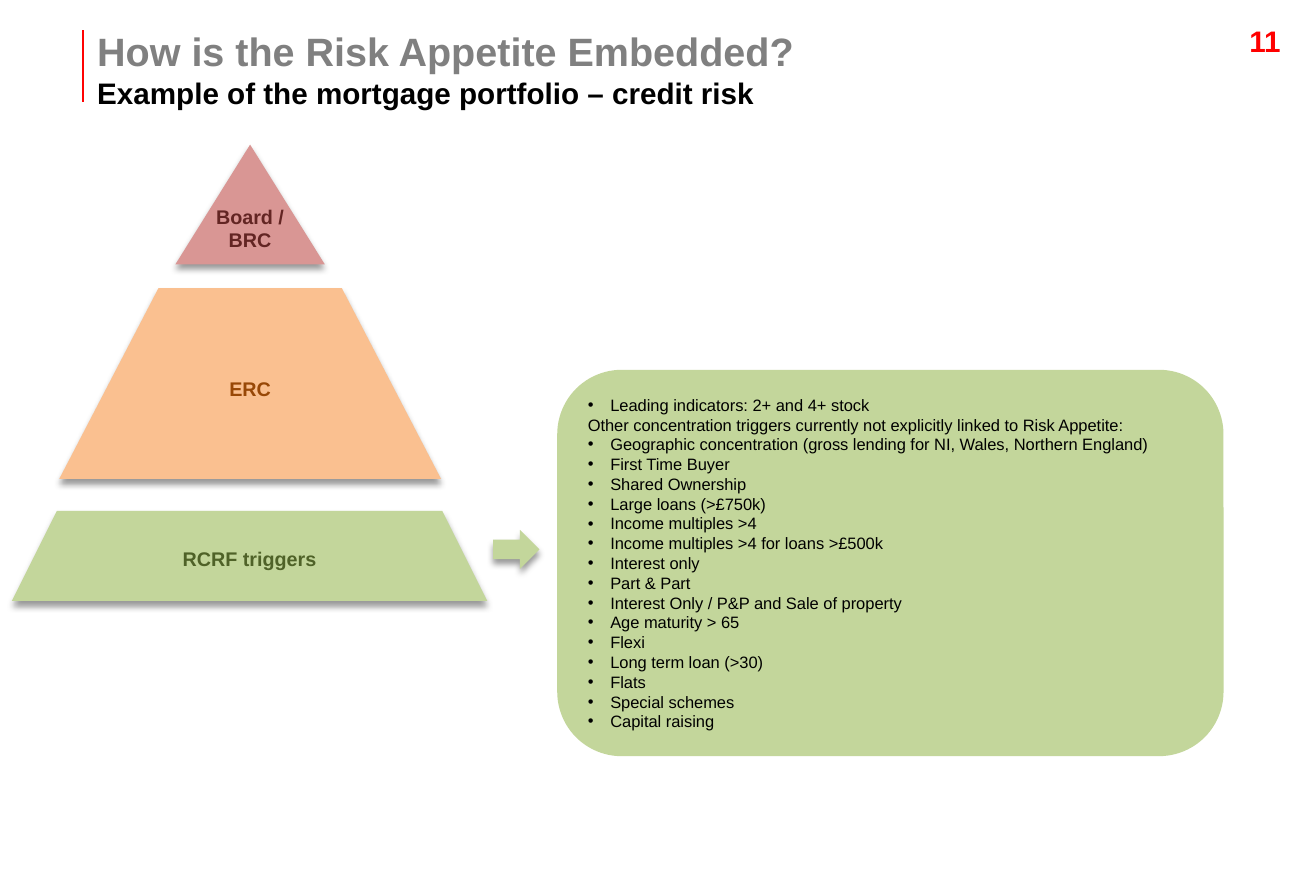
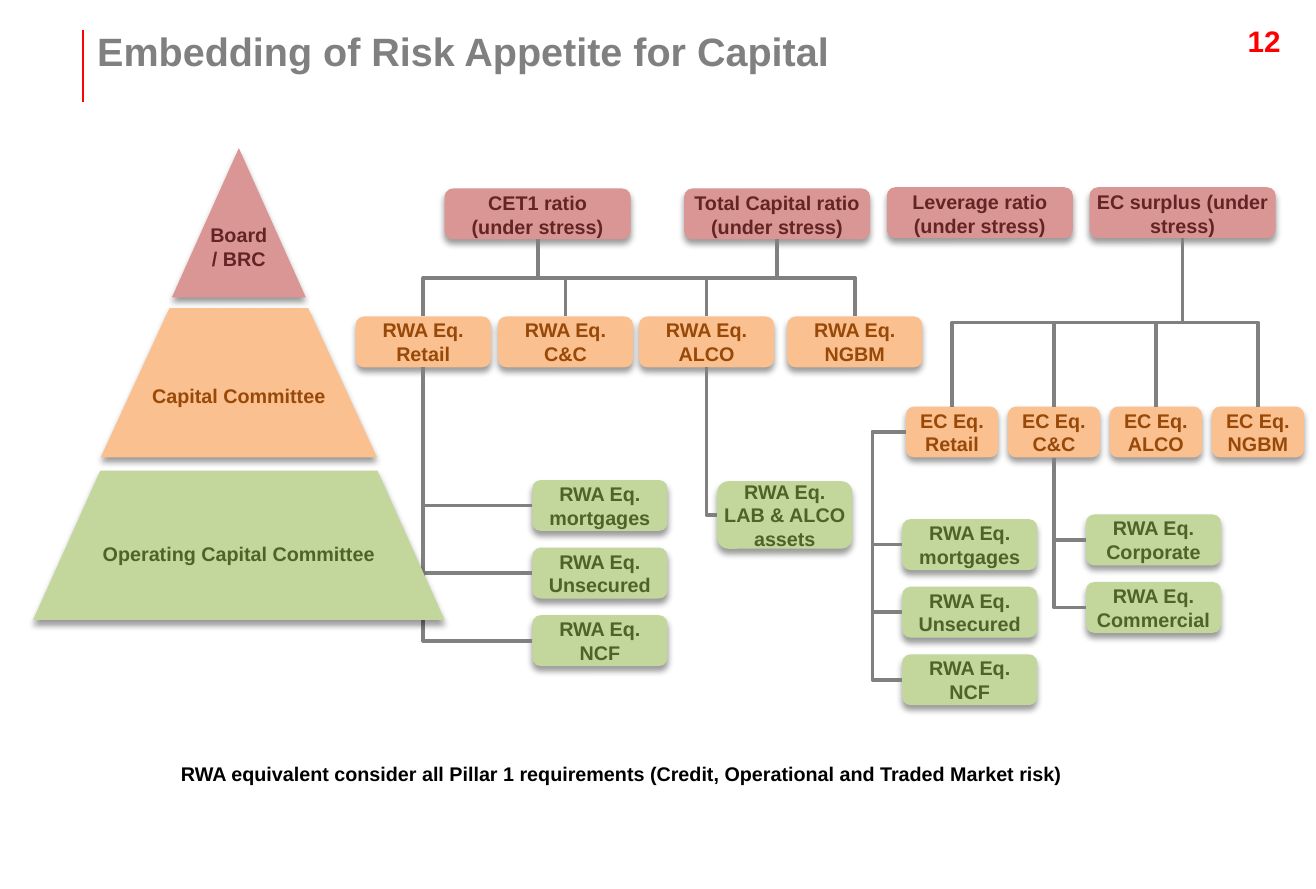
from dataclasses import dataclass

from lxml import etree
from pptx import Presentation
from pptx import util as u
from pptx.dml.color import RGBColor
from pptx.enum import shapes, text
from pptx.oxml import ns
from pptx.shapes.autoshape import Shape
from pptx.shapes.connector import Connector
from pptx.slide import Slide
from pptx.text.text import TextFrame

FONT = "Arial"
COLORS = {
    "black": "000000", "title": "808080", "number": "FF0000", "rule": "FF0303",
    "link": "808080", "rose": "D99694", "rose_ink": "632523",
    "orange": "FAC090", "orange_ink": "984807", "green": "C3D69B", "green_ink": "4F6228",
}
SHAPE = shapes.MSO_SHAPE
ALIGN = text.PP_ALIGN
ANCHOR = text.MSO_ANCHOR
TOP, LEFT, BOTTOM = 0, 1, 2


@dataclass(frozen=True)
class Style:
    size: float
    color: str
    bold: bool = True


@dataclass(frozen=True)
class Tier:
    fill: str
    ink: str
    anchor: ANCHOR = ANCHOR.MIDDLE
    inset: float = 0.04
    wrap: bool = True


@dataclass(frozen=True)
class Box:
    left: float
    top: float
    width: float
    height: float


@dataclass(frozen=True)
class Level:
    label: str
    tier: Tier
    box: Box
    slant: float = 0


BOARD = Tier("rose", "rose_ink", ANCHOR.TOP, 0)
COMMITTEE = Tier("orange", "orange_ink")
OPERATING = Tier("green", "green_ink", wrap=False)

TITLE = Style(24, "title")
SUBTITLE = Style(18, "black")
NUMBER = Style(18, "number")
NOTE = Style(12, "black")
BODY = Style(10, "black", False)

HEADING = "Other concentration triggers currently not explicitly linked to Risk Appetite:"
TRIGGERS = [
    "Leading indicators: 2+ and 4+ stock",
    HEADING,
    "Geographic concentration (gross lending for NI, Wales, Northern England)",
    "First Time Buyer",
    "Shared Ownership",
    "Large loans (>£750k)",
    "Income multiples >4",
    "Income multiples >4 for loans >£500k",
    "Interest only",
    "Part & Part",
    "Interest Only / P&P and Sale of property",
    "Age maturity > 65",
    "Flexi",
    "Long term loan (>30)",
    "Flats",
    "Special schemes",
    "Capital raising",
]


def rgb(name: str) -> RGBColor:
    return RGBColor.from_string(COLORS[name])


def place(box: Box) -> list[u.Length]:
    return [u.Inches(value) for value in (box.left, box.top, box.width, box.height)]


def set_insets(frame: TextFrame, horizontal: float, vertical: float) -> None:
    frame.margin_left = frame.margin_right = u.Inches(horizontal)
    frame.margin_top = frame.margin_bottom = u.Inches(vertical)


def write(frame: TextFrame, lines: list[tuple[str, Style]], align: ALIGN = ALIGN.LEFT) -> None:
    for index, (line, style) in enumerate(lines):
        paragraph = frame.add_paragraph() if index else frame.paragraphs[0]
        paragraph.alignment = align
        run = paragraph.add_run()
        run.text = line
        run.font.name = FONT
        run.font.size = u.Pt(style.size)
        run.font.bold = style.bold
        run.font.color.rgb = rgb(style.color)


def add_text(slide: Slide, box: Box, lines: list[tuple[str, Style]],
             align: ALIGN = ALIGN.LEFT, inset: tuple[float, float] = (0.1, 0.05)) -> None:
    frame = slide.shapes.add_textbox(*place(box)).text_frame
    frame.word_wrap = True
    set_insets(frame, *inset)
    write(frame, lines, align)


def add_shadow(shape: Shape) -> None:
    effects = shape.element.spPr.find(ns.qn("a:effectLst"))
    shadow = etree.SubElement(effects, ns.qn("a:outerShdw"), blurRad=str(u.Pt(4)),
                              dist=str(u.Pt(3)), dir="5400000", rotWithShape="0")
    color = etree.SubElement(shadow, ns.qn("a:srgbClr"), val=COLORS["black"])
    etree.SubElement(color, ns.qn("a:alpha"), val="40000")


def add_block(slide: Slide, kind: SHAPE, box: Box, fill: str, raised: bool = True) -> Shape:
    shape = slide.shapes.add_shape(kind, *place(box))
    shape.fill.solid()
    shape.fill.fore_color.rgb = rgb(fill)
    shape.line.fill.background()
    shape.shadow.inherit = False
    if raised:
        add_shadow(shape)
    return shape


def add_label(shape: Shape, label: str, tier: Tier) -> None:
    frame = shape.text_frame
    frame.word_wrap = tier.wrap
    frame.vertical_anchor = tier.anchor
    set_insets(frame, tier.inset, tier.inset)
    style = Style(12, tier.ink)
    write(frame, [(line, style) for line in label.split("\n")], ALIGN.CENTER)


def add_level(slide: Slide, level: Level) -> Shape:
    kind = SHAPE.TRAPEZOID if level.slant else SHAPE.ISOSCELES_TRIANGLE
    shape = add_block(slide, kind, level.box, level.tier.fill)
    if level.slant:
        shape.adjustments[0] = level.slant
    add_label(shape, level.label, level.tier)
    return shape


def add_node(slide: Slide, label: str, tier: Tier, box: Box) -> Shape:
    shape = add_block(slide, SHAPE.ROUNDED_RECTANGLE, box, tier.fill)
    add_label(shape, label, tier)
    return shape


def add_stack(slide: Slide, names: list[str], left: float, top: float) -> list[Shape]:
    return [add_node(slide, f"RWA Eq.\n{name}", OPERATING, Box(left, top + 0.57 * row, 1.14, 0.43))
            for row, name in enumerate(names)]


def style_line(connector: Connector, color: str, width: float) -> None:
    connector.line.color.rgb = rgb(color)
    connector.line.width = u.Pt(width)
    etree.SubElement(connector.element.spPr, ns.qn("a:effectLst"))


def site(shape: Shape, side: int) -> tuple[int, int]:
    center, middle = shape.left + shape.width // 2, shape.top + shape.height // 2
    return {TOP: (center, shape.top), LEFT: (shape.left, middle),
            BOTTOM: (center, shape.top + shape.height)}[side]


def add_elbow(slide: Slide, parent: Shape, start: int, child: Shape, finish: int) -> Connector:
    connector = slide.shapes.add_connector(
        shapes.MSO_CONNECTOR.ELBOW, *site(parent, start), *site(child, finish))
    connector.begin_connect(parent, start)
    connector.end_connect(child, finish)
    style_line(connector, "link", 2.25)
    return connector


def link_down(slide: Slide, parent: Shape, child: Shape, finish: int = TOP) -> None:
    connector = add_elbow(slide, parent, BOTTOM, child, finish)
    (x1, y1), (x2, y2) = site(parent, BOTTOM), site(child, finish)
    across, drop = abs(x2 - x1), y2 - y1
    connector.left, connector.top = (x1 + x2 - drop) // 2, (y1 + y2 - across) // 2
    connector.width, connector.height = drop, across
    frame = connector.element.spPr.find(ns.qn("a:xfrm"))
    frame.rot = 270.0 if x2 > x1 else 90.0
    frame.flipH = x2 > x1
    frame.flipV = False
    if finish == LEFT:
        connector.element.spPr.find(ns.qn("a:prstGeom")).set("prst", "bentConnector2")


def link_side(slide: Slide, parent: Shape, child: Shape) -> None:
    connector = add_elbow(slide, parent, LEFT, child, LEFT)
    bend = round(u.Inches(0.28) / (parent.left - child.left) * 100000)
    guides = connector.element.spPr.find(ns.qn("a:prstGeom")).get_or_add_avLst()
    etree.SubElement(guides, ns.qn("a:gd"), name="adj1", fmla=f"val {bend}")


def add_slide(presentation: Presentation, number: int, lines: list[tuple[str, Style]]) -> Slide:
    slide = presentation.slides.add_slide(presentation.slide_layouts[6])
    add_text(slide, Box(9.84, 0.14, 1.06, 0.5), [(str(number), NUMBER)], ALIGN.RIGHT)
    x = u.Inches(0.7)
    rule = slide.shapes.add_connector(
        shapes.MSO_CONNECTOR.STRAIGHT, x, u.Inches(0.86), x, u.Inches(0.25))
    style_line(rule, "rule", 1.5)
    add_text(slide, Box(0.82, 0.23, 8.8, 0.71), lines, inset=(0, 0))
    return slide


def add_triggers(slide: Slide) -> None:
    panel = add_block(slide, SHAPE.ROUNDED_RECTANGLE, Box(4.7, 3.12, 5.62, 3.26), "green", False)
    frame = panel.text_frame
    frame.word_wrap = True
    frame.vertical_anchor = ANCHOR.MIDDLE
    set_insets(frame, 0.1, 0.05)
    write(frame, [(line, BODY) for line in TRIGGERS])
    indent = u.Inches(0.19)
    for paragraph, line in zip(frame.paragraphs, TRIGGERS):
        if line != HEADING:
            properties = paragraph._p.get_or_add_pPr()
            properties.set("marL", str(indent))
            properties.set("indent", str(-indent))
            etree.SubElement(properties, ns.qn("a:buFont"), typeface=FONT)
            etree.SubElement(properties, ns.qn("a:buChar"), char="•")


def build_mortgage_slide(presentation: Presentation) -> None:
    slide = add_slide(presentation, 11, [
        ("How is the Risk Appetite Embedded?", TITLE),
        ("Example of the mortgage portfolio – credit risk", SUBTITLE),
    ])
    add_triggers(slide)
    add_block(slide, SHAPE.RIGHT_ARROW, Box(4.16, 4.47, 0.39, 0.33), "green")
    committee = add_level(slide, Level("ERC", COMMITTEE, Box(0.5, 2.43, 3.22, 1.61), 0.52))
    committee.text_frame.margin_bottom = u.Inches(0.23)
    add_level(slide, Level("Board / BRC", BOARD, Box(1.48, 1.22, 1.26, 1.01)))
    add_level(slide, Level("RCRF triggers", OPERATING, Box(0.1, 4.31, 4.01, 0.76), 0.5))


def build_capital_slide(presentation: Presentation) -> None:
    slide = add_slide(presentation, 12, [("Embedding of Risk Appetite for Capital", TITLE)])
    add_level(slide, Level("Board / BRC", BOARD, Box(1.45, 1.25, 1.13, 1.26)))
    add_level(slide, Level("Capital Committee", COMMITTEE, Box(0.85, 2.6, 2.33, 1.26), 0.46))

    ratios = [("CET1 ratio\n(under stress)", 3.75, 1.59),
              ("Total Capital ratio (under stress)", 5.77, 1.59),
              ("Leverage ratio (under stress)", 7.48, 1.58),
              ("EC surplus (under stress)", 9.19, 1.58)]
    cet1, total, _, surplus = [add_node(slide, label, BOARD, Box(left, top, 1.57, 0.43))
                               for label, left, top in ratios]

    units = ["Retail", "C&C", "ALCO", "NGBM"]
    rwa = [add_node(slide, f"RWA Eq.\n{name}", COMMITTEE, Box(left, 2.67, 1.14, 0.43))
           for name, left in zip(units, (3, 4.2, 5.39, 6.64))]
    ec = [add_node(slide, f"EC Eq.\n{name}", COMMITTEE, Box(7.64 + 0.86 * column, 3.43, 0.78, 0.43))
          for column, name in enumerate(units)]
    for parent, children in ((cet1, rwa), (total, rwa[-1:]), (surplus, ec)):
        for child in children:
            link_down(slide, parent, child)

    products = ["mortgages", "Unsecured", "NCF"]
    rwa_retail = add_stack(slide, products, 4.49, 4.05)
    assets = add_node(slide, "RWA Eq.\nLAB & ALCO\nassets", OPERATING, Box(6.05, 4.06, 1.14, 0.57))
    ec_retail = add_stack(slide, products, 7.61, 4.38)
    ec_corporate = add_stack(slide, ["Corporate", "Commercial"], 9.16, 4.34)
    for parent, children in ((rwa[0], rwa_retail), (rwa[2], [assets]), (ec[1], ec_corporate)):
        for child in children:
            link_down(slide, parent, child, LEFT)
    for child in ec_retail:
        link_side(slide, ec[0], child)

    add_level(slide, Level("Operating Capital Committee", OPERATING,
                           Box(0.28, 3.97, 3.47, 1.26), 0.45))
    add_text(slide, Box(0.34, 6.38, 9.81, 0.3), [(
        "RWA equivalent consider all Pillar 1 requirements "
        "(Credit, Operational and Traded Market risk)", NOTE)], ALIGN.CENTER)


def main() -> None:
    presentation = Presentation()
    presentation.slide_width = u.Inches(11.1)
    presentation.slide_height = u.Inches(7.5)
    build_mortgage_slide(presentation)
    build_capital_slide(presentation)
    presentation.save("out.pptx")


if __name__ == "__main__":
    main()
